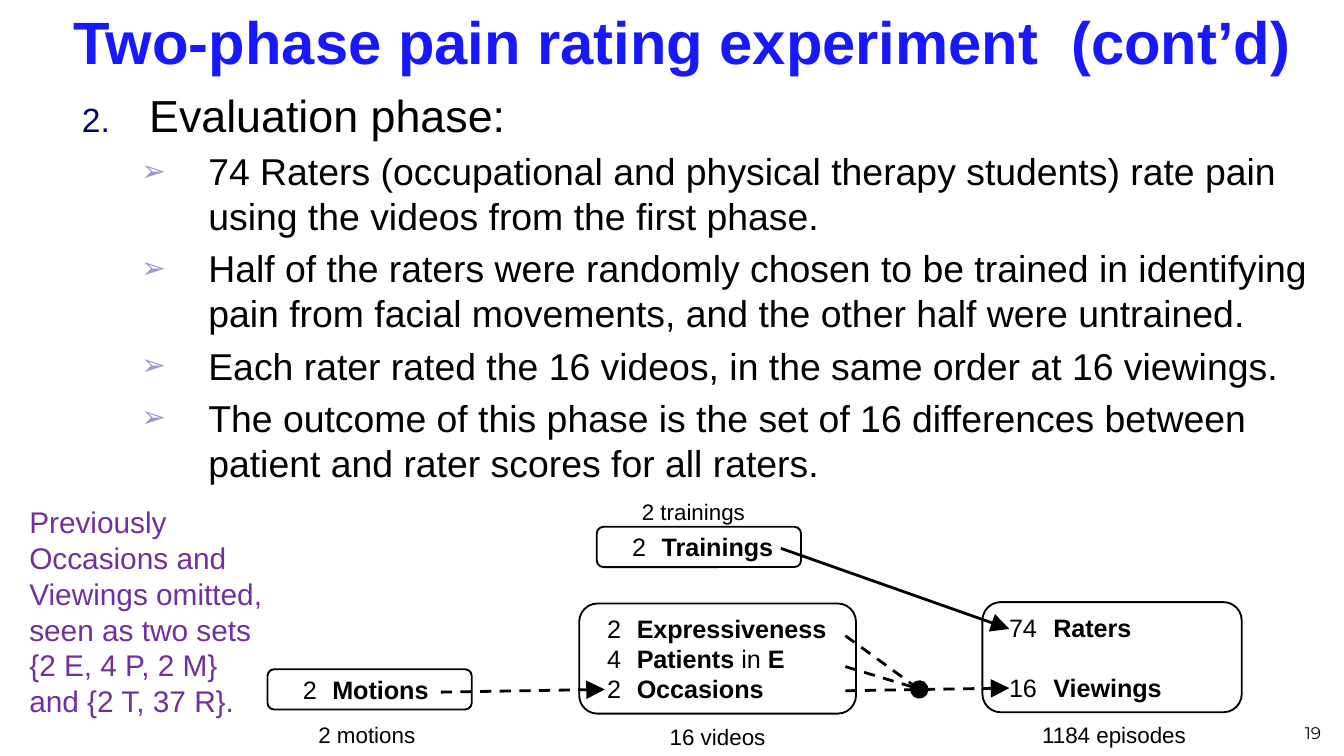
from lxml import etree
from pptx import Presentation
from pptx.dml.color import RGBColor
from pptx.enum import dml, shapes, text
from pptx.oxml import ns
from pptx.util import Inches, Pt

BLACK = RGBColor(0, 0, 0)
BLUE = RGBColor(0x18, 0x18, 0xFF)
PURPLE = RGBColor(0x70, 0x30, 0xA0)
NUMBER_COLOR, ARROW_COLOR = "00007D", "9999CC"
SMALL_INSETS = (0.08, 0.04)

TITLE = "Two-phase pain rating experiment  (cont’d)"
HEADING = "Evaluation phase:"
POINTS = [
    "74 Raters (occupational and physical therapy students) rate pain using the videos from the first phase.",
    "Half of the raters were randomly chosen to be trained in identifying pain from facial movements, "
    "and the other half were untrained.",
    "Each rater rated the 16 videos, in the same order at 16 viewings.",
    "The outcome of this phase is the set of 16 differences between patient and rater scores for all raters.",
]
NOTE = ("Previously Occasions and Viewings omitted, seen as two sets "
        "{2 E, 4 P, 2 M} and {2 T, 37 R}.")

# box, (left margin, hanging indent), gap between lines in points,
# lines of (count, runs alternating bold and regular), caption, caption position
PANELS = [
    ((1.99, 4.98, 1.52, 0.3), (0.37, -0.22), 0,
     [("2", ["Motions"])], "2 motions", (1.95, 5.32)),
    ((4.31, 4.49, 2.06, 0.82), (0.29, -0.22), 0,
     [("2", ["Expressiveness"]), ("4", ["Patients", " in ", "E"]), ("2", ["Occasions"])],
     "16 videos", (4.56, 5.33)),
    ((7.31, 4.48, 1.93, 0.82), (0.39, -0.33), 16,
     [("74", ["Raters"]), ("16", ["Viewings"])], "1184 episodes", (7.51, 5.32)),
    ((4.44, 3.92, 1.52, 0.3), (0.37, -0.22), 0,
     [("2", ["Trainings"])], "2 trainings", (4.38, 3.66)),
]
# start, end, dashed, arrowhead
LINKS = [
    ((3.28, 5.15), (4.5, 5.13), True, "triangle"),
    ((5.81, 4.08), (7.51, 4.68), False, "triangle"),
    ((6.29, 5.14), (7.51, 5.12), True, "triangle"),
    ((6.29, 4.73), (6.84, 5.13), True, "oval"),
    ((6.29, 4.96), (6.85, 5.13), True, None),
]


def add_run(p, words, size, color=BLACK, bold=False, font="Arial"):
    r = p.add_run()
    r.text = words
    r.font.name = font
    r.font.size = Pt(size)
    r.font.bold = bold
    r.font.color.rgb = color


def set_indent(p, margin, hanging):
    pPr = p._p.get_or_add_pPr()
    pPr.set("marL", str(Inches(margin)))
    pPr.set("indent", str(Inches(hanging)))


def add_child(parent, tag, **attributes):
    return etree.SubElement(parent, ns.qn(tag), attributes)


def add_bullet(p, color, percent, tag, **attributes):
    pPr = p._p.get_or_add_pPr()
    add_child(add_child(pPr, "a:buClr"), "a:srgbClr", val=color)
    add_child(pPr, "a:buSzPct", val=str(percent * 1000))
    add_child(pPr, "a:buFont", typeface="Arial")
    add_child(pPr, tag, **attributes)


def set_frame(tf, anchor=text.MSO_ANCHOR.TOP, insets=(0.1, 0.05), wrap=True):
    tf.word_wrap = wrap
    tf.vertical_anchor = anchor
    tf.margin_left = tf.margin_right = Inches(insets[0])
    tf.margin_top = tf.margin_bottom = Inches(insets[1])
    return tf


def add_text(s, box, **frame):
    """Add a text box and return its text frame."""
    return set_frame(s.shapes.add_textbox(*map(Inches, box)).text_frame, **frame)


def add_panel(s, box, indent, gap, lines, caption, caption_at):
    """Add a rounded box listing factors, with its caption."""
    sp = s.shapes.add_shape(shapes.MSO_SHAPE.ROUNDED_RECTANGLE, *map(Inches, box))
    sp.shadow.inherit = False
    sp.fill.background()
    sp.line.color.rgb = BLACK
    sp.line.width = Pt(1)
    tf = set_frame(sp.text_frame, text.MSO_ANCHOR.MIDDLE, wrap=False)
    for i, (count, names) in enumerate(lines):
        p = tf.add_paragraph() if i else tf.paragraphs[0]
        p.alignment = text.PP_ALIGN.LEFT
        set_indent(p, *indent)
        if i and gap:
            p.space_before = Pt(gap)
        add_run(p, count + "\t", 13.5)
        for j, name in enumerate(names):
            add_run(p, name, 13.5, bold=j % 2 == 0)
    p = add_text(s, (*caption_at, 1.56, 0.3)).paragraphs[0]
    p.alignment = text.PP_ALIGN.CENTER
    add_run(p, caption, 12)


def add_link(s, start, end, dashed, head):
    line = s.shapes.add_connector(shapes.MSO_CONNECTOR.STRAIGHT, *map(Inches, start + end))
    line.line.color.rgb = BLACK
    line.line.width = Pt(1.5)
    if dashed:
        line.line.dash_style = dml.MSO_LINE.DASH
    spPr = line._element.spPr
    if head:
        add_child(spPr.get_or_add_ln(), "a:tailEnd", type=head, w="lg", len="lg")
    add_child(spPr, "a:effectLst")


def main():
    prs = Presentation()
    prs.slide_width = Inches(10)
    prs.slide_height = prs.slide_width * 9 // 16
    s = prs.slides.add_slide(prs.slide_layouts[5])

    title = s.shapes.title
    title.left, title.top, title.width, title.height = map(Inches, (0.47, 0.01, 9.45, 0.59))
    p = set_frame(title.text_frame, text.MSO_ANCHOR.MIDDLE, SMALL_INSETS).paragraphs[0]
    p.alignment = text.PP_ALIGN.LEFT
    set_indent(p, 0.59, -0.59)
    add_run(p, TITLE, 32, BLUE, bold=True)

    tf = add_text(s, (0.47, 0.61, 9.45, 3.07), insets=SMALL_INSETS)
    p = tf.paragraphs[0]
    set_indent(p, 0.56, -0.5)
    add_bullet(p, NUMBER_COLOR, 75, "a:buAutoNum", type="arabicPeriod", startAt="2")
    add_run(p, HEADING, 24)
    for point in POINTS:
        p = tf.add_paragraph()
        p.level = 1
        p.space_before = Pt(4)
        set_indent(p, 1, -0.5)
        add_bullet(p, ARROW_COLOR, 80, "a:buChar", char="➢")
        add_run(p, point, 20)

    p = add_text(s, (7.58, 5.19, 2.33, 0.38), anchor=text.MSO_ANCHOR.BOTTOM,
                 insets=SMALL_INSETS).paragraphs[0]
    p.alignment = text.PP_ALIGN.RIGHT
    add_run(p, "19", 9, font="Montserrat")

    for panel in PANELS:
        add_panel(s, *panel)
    for link in LINKS:
        add_link(s, *link)
    add_run(add_text(s, (0.12, 3.7, 1.96, 1.67)).paragraphs[0], NOTE, 16, PURPLE)

    prs.save("out.pptx")


if __name__ == "__main__":
    main()
